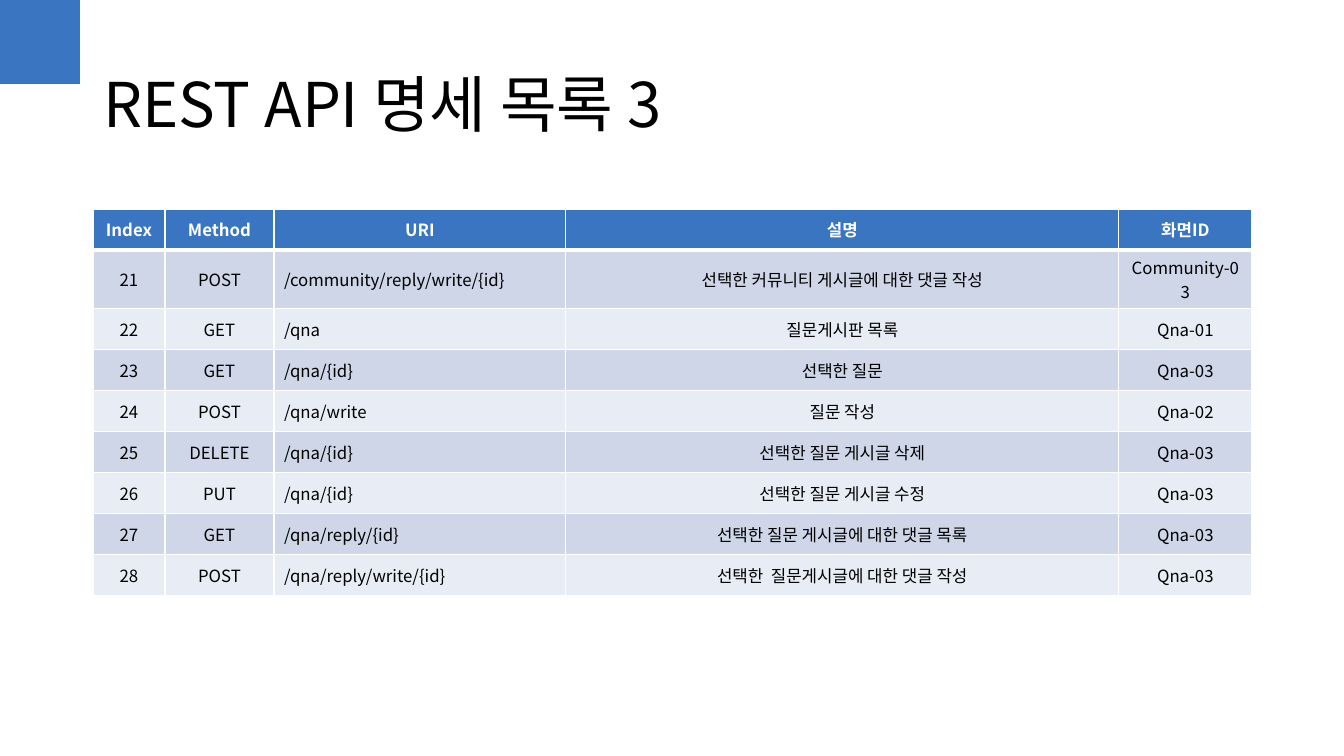
from lxml import etree
from pptx import Presentation
from pptx.dml.color import RGBColor
from pptx.enum.shapes import MSO_SHAPE
from pptx.enum.text import MSO_ANCHOR, PP_ALIGN
from pptx.oxml.ns import qn
from pptx.util import Pt

TITLE = "REST API 명세 목록 3"
HEADERS = ["Index", "Method", "URI", "설명", "화면ID"]
ENDPOINTS = [
    ("21", "POST", "/community/reply/write/{id}", "선택한 커뮤니티 게시글에 대한 댓글 작성", "Community-03"),
    ("22", "GET", "/qna", "질문게시판 목록", "Qna-01"),
    ("23", "GET", "/qna/{id}", "선택한 질문", "Qna-03"),
    ("24", "POST", "/qna/write", "질문 작성", "Qna-02"),
    ("25", "DELETE", "/qna/{id}", "선택한 질문 게시글 삭제", "Qna-03"),
    ("26", "PUT", "/qna/{id}", "선택한 질문 게시글 수정", "Qna-03"),
    ("27", "GET", "/qna/reply/{id}", "선택한 질문 게시글에 대한 댓글 목록", "Qna-03"),
    ("28", "POST", "/qna/reply/write/{id}", "선택한  질문게시글에 대한 댓글 작성", "Qna-03"),
]
COLUMN_WIDTHS = [72, 109, 292, 553, 133]
ROW_HEIGHT = 41
URI_COLUMN = HEADERS.index("URI")

FONT = "Noto Sans CJK KR"
BLUE = RGBColor(0x39, 0x75, 0xC0)
BAND_DARK = RGBColor(0xCE, 0xD6, 0xE8)
BAND_LIGHT = RGBColor(0xE8, 0xEC, 0xF4)
BLACK = RGBColor(0, 0, 0)
WHITE = RGBColor(0xFF, 0xFF, 0xFF)
LEFT, CENTER = PP_ALIGN.LEFT, PP_ALIGN.CENTER
MIDDLE = MSO_ANCHOR.MIDDLE
RECTANGLE = MSO_SHAPE.RECTANGLE
TITLE_ONLY_LAYOUT = 5
EMU_PER_PX = 914400 / 100.8


def px(length):
    return round(length * EMU_PER_PX)


def write_text(text_frame, text, size, color=BLACK, bold=False, align=LEFT, line_spacing=1.0):
    paragraph = text_frame.paragraphs[0]
    paragraph.alignment = align
    paragraph.line_spacing = line_spacing
    run = paragraph.add_run()
    run.text = text
    font = run.font
    font.name, font.size, font.bold = FONT, Pt(size), bold
    font.color.rgb = color
    latin = run._r.get_or_add_rPr().find(qn("a:latin"))
    east_asian = etree.Element(qn("a:ea"), typeface=FONT)
    latin.addnext(east_asian)


def set_borders(cell, top, bottom):
    """Draw white cell borders; top and bottom are widths in points."""
    properties = cell._tc.get_or_add_tcPr()
    sides = [("a:lnL", 1), ("a:lnR", 1), ("a:lnT", top), ("a:lnB", bottom)]
    for position, (tag, width) in enumerate(sides):
        line = etree.Element(qn(tag), w=str(Pt(width)))
        fill = etree.SubElement(line, qn("a:solidFill"))
        etree.SubElement(fill, qn("a:srgbClr"), val=str(WHITE))
        properties.insert(position, line)


def add_corner(slide):
    corner = slide.shapes.add_shape(RECTANGLE, 0, 0, px(80), px(84))
    corner.shadow.inherit = False
    corner.fill.solid()
    corner.fill.fore_color.rgb = BLUE
    corner.line.fill.background()


def add_title(slide):
    title = slide.shapes.title
    title.left, title.top, title.width, title.height = px(93), px(35), px(1159), px(146)
    title.text_frame.vertical_anchor = MIDDLE
    write_text(title.text_frame, TITLE, 44, line_spacing=0.9)


def add_endpoint_table(slide):
    rows = [HEADERS, *ENDPOINTS]
    table = slide.shapes.add_table(
        len(rows), len(HEADERS), px(93), px(209),
        px(sum(COLUMN_WIDTHS)), px(ROW_HEIGHT * len(rows))).table
    for column, width in zip(table.columns, COLUMN_WIDTHS):
        column.width = px(width)
    for row_index, values in enumerate(rows):
        table.rows[row_index].height = px(ROW_HEIGHT)
        is_header = row_index == 0
        band = BAND_DARK if row_index % 2 else BAND_LIGHT
        for column_index, value in enumerate(values):
            cell = table.cell(row_index, column_index)
            cell.vertical_anchor = MIDDLE
            cell.fill.solid()
            cell.fill.fore_color.rgb = BLUE if is_header else band
            set_borders(cell, top=3 if row_index == 1 else 1, bottom=3 if is_header else 1)
            is_uri = column_index == URI_COLUMN and not is_header
            write_text(cell.text_frame, value, 12, color=WHITE if is_header else BLACK,
                       bold=is_header, align=LEFT if is_uri else CENTER)


def main():
    presentation = Presentation()
    presentation.slide_width, presentation.slide_height = px(1344), px(756)
    slide = presentation.slides.add_slide(presentation.slide_layouts[TITLE_ONLY_LAYOUT])
    add_corner(slide)
    add_title(slide)
    add_endpoint_table(slide)
    presentation.save("out.pptx")


if __name__ == "__main__":
    main()
